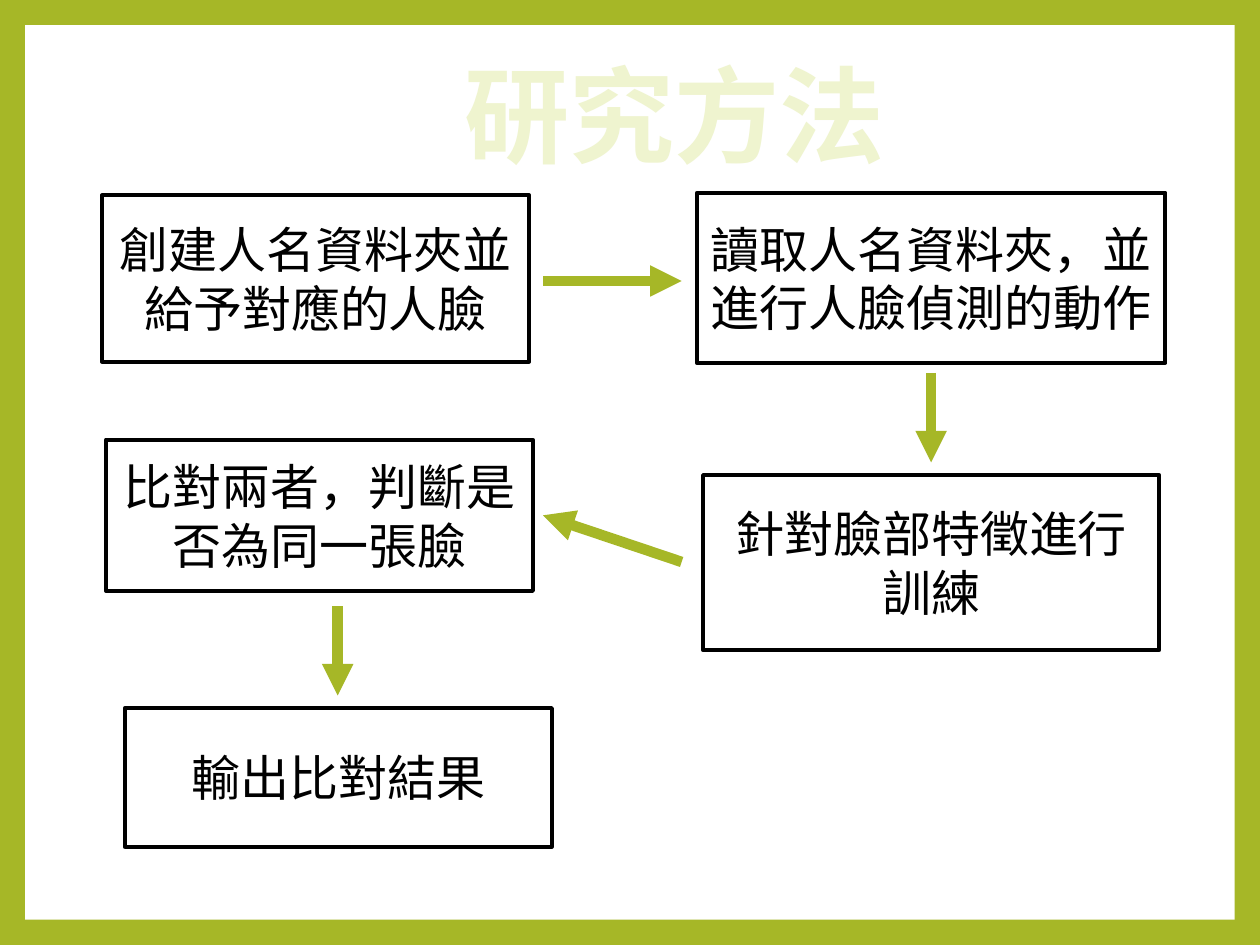
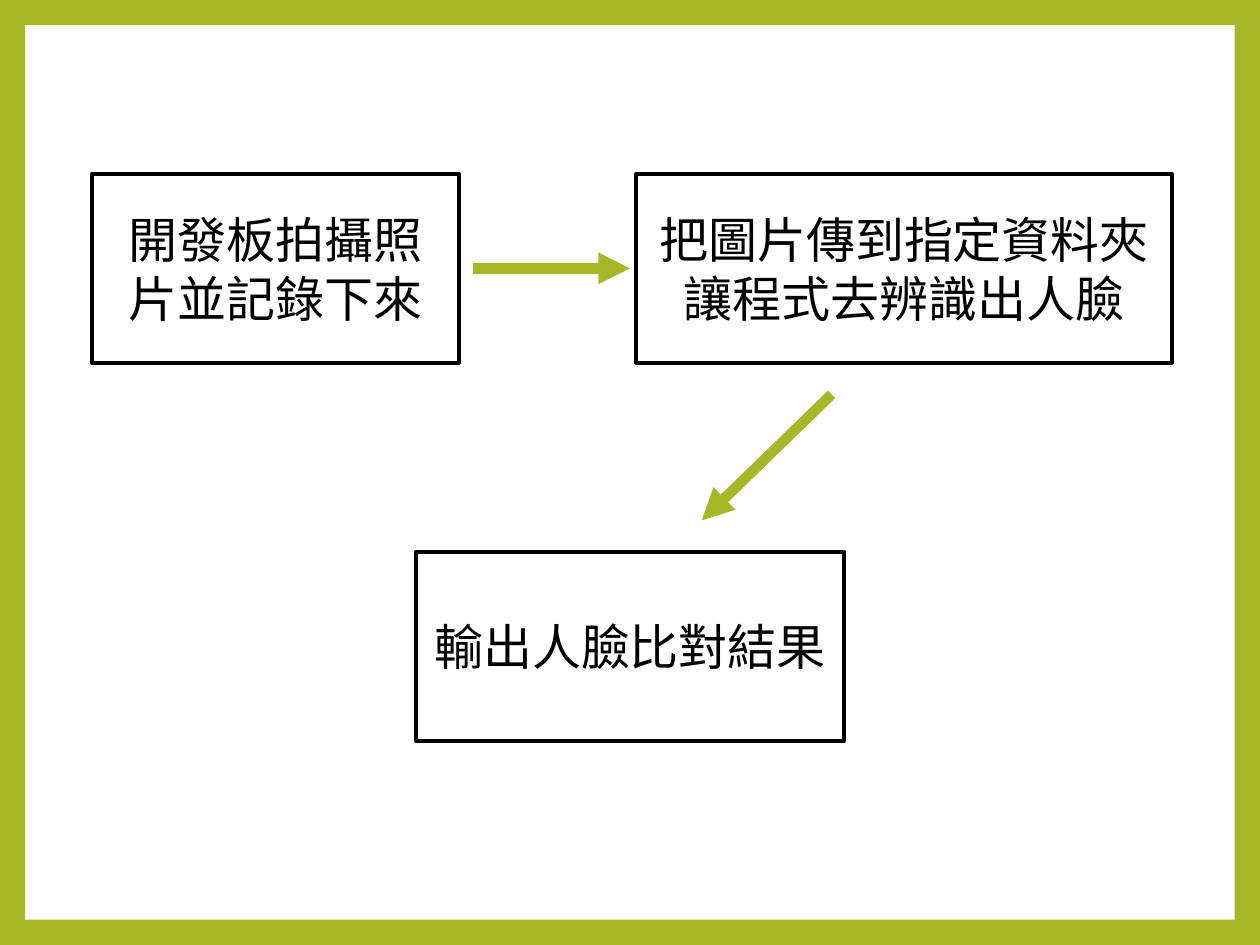
import pptx
import pptx.util
import pptx.dml.color
import pptx.enum.shapes
import pptx.enum.text
import pptx.oxml.ns
import lxml.etree

GREEN = pptx.dml.color.RGBColor(0xA6, 0xB7, 0x27)
PALE_GREEN = pptx.dml.color.RGBColor(0xEF, 0xF4, 0xCF)
WHITE = pptx.dml.color.RGBColor(0xFF, 0xFF, 0xFF)
BLACK = pptx.dml.color.RGBColor(0, 0, 0)
FONT = "Noto Sans CJK SC"
RECT = pptx.enum.shapes.MSO_SHAPE.RECTANGLE
STRAIGHT = pptx.enum.shapes.MSO_CONNECTOR.STRAIGHT
qn = pptx.oxml.ns.qn

prs = pptx.Presentation()
prs.slide_width = pptx.util.Inches(10)
prs.slide_height = pptx.util.Inches(7.5)
CELL = prs.slide_width // 100  # the slide is a grid of 100 columns by 75 rows
MARGIN = 2

BOX_TEXT = {"size": pptx.util.Pt(28), "name": FONT, "bold": False}
TITLE_TEXT = {"size": pptx.util.Pt(60), "name": FONT, "bold": True}


def to_emu(cells):
    return [round(n * CELL) for n in cells]


def write_text(sp, text, style, color):
    """Fill a shape with one centred paragraph."""
    tf = sp.text_frame
    tf.word_wrap = True
    tf.vertical_anchor = pptx.enum.text.MSO_ANCHOR.MIDDLE
    p = tf.paragraphs[0]
    p.alignment = pptx.enum.text.PP_ALIGN.CENTER
    r = p.add_run()
    r.text = text
    for key, value in style.items():
        setattr(r.font, key, value)
    r.font.color.rgb = color
    lxml.etree.SubElement(r.font._element, qn("a:ea"), typeface=FONT)


# Boxes: left, top, width, height, text. Arrows: start x, y, end x, y.
slides = [
    {
        "title": "研究方法",
        "boxes": [
            (8.1, 15.5, 33.9, 13.2, "創建人名資料夾並給予對應的人臉"),
            (55.3, 15.3, 37.2, 13.5, "讀取人名資料夾，並進行人臉偵測的動作"),
            (55.8, 37.7, 36.2, 13.9, "針對臉部特徵進行訓練"),
            (8.4, 34.9, 33.9, 12, "比對兩者，判斷是否為同一張臉"),
            (9.9, 56.2, 33.9, 11, "輸出比對結果"),
        ],
        "arrows": [
            (43.1, 22.3, 54.1, 22.3),
            (73.9, 29.6, 73.9, 36.7),
            (54.1, 44.6, 43.1, 40.9),
            (26.8, 48.1, 26.8, 55.2),
        ],
    },
    {
        "title": None,
        "boxes": [
            (7.3, 13.8, 29.1, 15, "開發板拍攝照片並記錄下來"),
            (50.5, 13.8, 42.5, 15, "把圖片傳到指定資料夾讓程式去辨識出人臉"),
            (33, 43.8, 34, 15, "輸出人臉比對結果"),
        ],
        "arrows": [
            (37.5, 21.3, 50, 21.3),
            (66, 31.3, 55.7, 41.3),
        ],
    },
]

for content in slides:
    s = prs.slides.add_slide(prs.slide_layouts[6])
    s.background.fill.solid()
    s.background.fill.fore_color.rgb = GREEN

    page = s.shapes.add_shape(
        RECT, *to_emu((MARGIN, MARGIN, 100 - 2 * MARGIN, 75 - 2 * MARGIN)))
    page.shadow.inherit = False
    page.fill.solid()
    page.fill.fore_color.rgb = WHITE
    page.line.fill.background()

    if content["title"]:
        title = s.shapes.add_textbox(*to_emu((13.5, 3, 80, 12)))
        write_text(title, content["title"], TITLE_TEXT, PALE_GREEN)

    for *place, text in content["boxes"]:
        box = s.shapes.add_shape(RECT, *to_emu(place))
        box.shadow.inherit = False
        box.fill.solid()
        box.fill.fore_color.rgb = WHITE
        box.line.color.rgb = BLACK
        box.line.width = pptx.util.Pt(2.25)
        write_text(box, text, BOX_TEXT, BLACK)

    for ends in content["arrows"]:
        arrow = s.shapes.add_connector(STRAIGHT, *to_emu(ends))
        arrow.line.color.rgb = GREEN
        arrow.line.width = pptx.util.Pt(6)
        sp_pr = arrow._element.spPr
        lxml.etree.SubElement(sp_pr.find(qn("a:ln")), qn("a:tailEnd"), type="triangle")
        lxml.etree.SubElement(sp_pr, qn("a:effectLst"))

prs.save("out.pptx")
